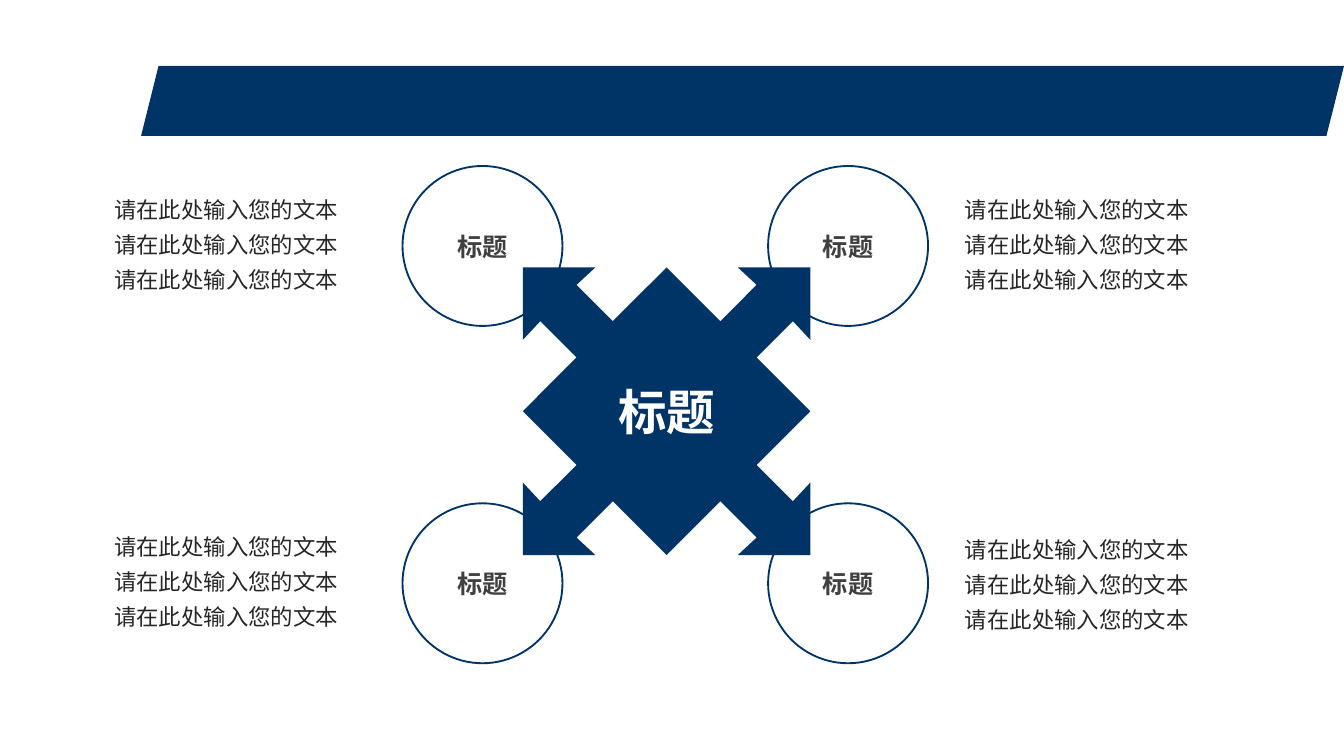
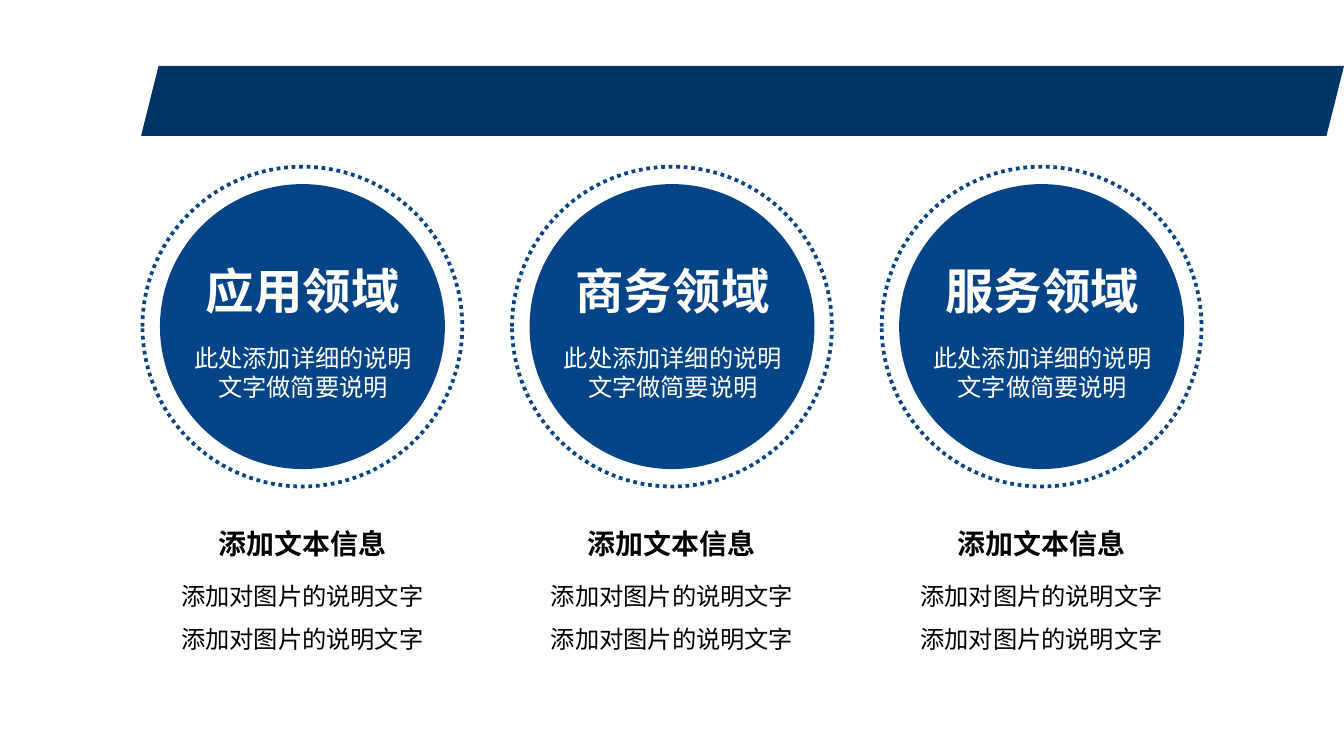
from lxml.etree import SubElement
from pptx import Presentation
from pptx.dml.color import RGBColor
from pptx.enum.dml import MSO_LINE
from pptx.enum.shapes import MSO_SHAPE
from pptx.enum.text import MSO_ANCHOR, MSO_AUTO_SIZE, PP_ALIGN
from pptx.oxml.ns import qn
from pptx.util import Inches, Pt

FONT = "Noto Sans CJK SC"
NAVY = RGBColor(0x00, 0x34, 0x66)
BLUE = RGBColor(0x05, 0x44, 0x87)
WHITE = RGBColor(0xFF, 0xFF, 0xFF)
BLACK = RGBColor(0x00, 0x00, 0x00)
GREY = RGBColor(0x40, 0x40, 0x40)
DARK = RGBColor(0x26, 0x26, 0x26)


def paint(shape, fill=None, line=None, width=1, dash=None):
    shape.shadow.inherit = False
    if fill is None:
        shape.fill.background()
    else:
        shape.fill.solid()
        shape.fill.fore_color.rgb = fill
    if line is None:
        shape.line.fill.background()
    else:
        shape.line.color.rgb = line
        shape.line.width = Pt(width)
        if dash is not None:
            shape.line.dash_style = dash


def add_para(frame, text, size, color, bold=False, align=PP_ALIGN.CENTER,
             spacing=None, before=None):
    """Fill the empty first paragraph, or append a new one."""
    para = frame.paragraphs[0]
    if para.runs:
        para = frame.add_paragraph()
    para.alignment = align
    if spacing:
        para.line_spacing = spacing
    if before:
        para.space_before = Pt(before)
    run = para.add_run()
    run.text = text
    run.font.size = Pt(size)
    run.font.bold = bold
    run.font.color.rgb = color
    run.font.name = FONT
    SubElement(run.font._element, qn("a:ea"), typeface=FONT)


def set_margins(frame, side, top):
    frame.margin_left = frame.margin_right = Inches(side)
    frame.margin_top = frame.margin_bottom = Inches(top)


def add_label(shape, text, size, color):
    """Centre a bold label inside a shape."""
    frame = shape.text_frame
    frame.word_wrap = True
    frame.vertical_anchor = MSO_ANCHOR.MIDDLE
    set_margins(frame, 0, 0)
    add_para(frame, text, size, color, bold=True)


def add_box(slide, left, top, width, height, inset=0.05, grow=True):
    box = slide.shapes.add_textbox(Inches(left), Inches(top),
                                   Inches(width), Inches(height))
    frame = box.text_frame
    frame.word_wrap = True
    frame.auto_size = (MSO_AUTO_SIZE.SHAPE_TO_FIT_TEXT if grow
                       else MSO_AUTO_SIZE.NONE)
    set_margins(frame, 0.11, inset)
    return frame


def add_disc(slide, x, y, size, **style):
    """Add a circle centred on x, y."""
    disc = slide.shapes.add_shape(
        MSO_SHAPE.OVAL, Inches(x - size / 2), Inches(y - size / 2),
        Inches(size), Inches(size))
    paint(disc, **style)
    return disc


def add_slide(deck):
    """Add a slide with the shared title band."""
    slide = deck.slides.add_slide(deck.slide_layouts[6])
    band = slide.shapes.add_shape(MSO_SHAPE.PARALLELOGRAM, Inches(1.05),
                                  Inches(0.49), Inches(8.95), Inches(0.52))
    paint(band, fill=NAVY)
    return slide


def add_cross(slide, x, y):
    """Add a diamond with four corner arrows, one side turned four times."""
    side = [(-1.07, -1.07), (-0.53, -1.07), (-0.67, -0.94), (-0.4, -0.67),
            (0, -1.07), (0.4, -0.67), (0.67, -0.94), (0.53, -1.07)]
    points = []
    for _ in range(4):
        points += side
        side = [(-dy, dx) for dx, dy in side]
    spots = [(Inches(x + dx), Inches(y + dy)) for dx, dy in points]
    path = slide.shapes.build_freeform(*spots[0])
    path.add_line_segments(spots[1:], close=True)
    cross = path.convert_to_shape()
    paint(cross, fill=NAVY)
    add_label(cross, "标题", 26, WHITE)


def add_lines(slide, left, top):
    frame = add_box(slide, left, top, 2.19, 0.9, inset=0.06)
    for _ in range(3):
        add_para(frame, "请在此处输入您的文本", 12, DARK,
                 align=PP_ALIGN.JUSTIFY, spacing=1.3)


def add_topic(slide, x, title):
    """Add one column: ringed disc, its text and the caption below."""
    add_disc(slide, x, 2.43, 2.12, fill=BLUE)
    add_disc(slide, x, 2.43, 2.38, line=BLUE, width=2,
             dash=MSO_LINE.ROUND_DOT)
    inner = add_box(slide, x - 0.92, 1.89, 1.85, 1.16)
    add_para(inner, title, 26, WHITE, bold=True)
    add_para(inner, "此处添加详细的说明文字做简要说明", 13, WHITE, before=12.9)
    below = add_box(slide, x - 1.07, 3.87, 2.14, 1.23, grow=False)
    add_para(below, "添加文本信息", 15, BLACK, bold=True)
    add_para(below, "添加对图片的说明文字添加对图片的说明文字", 13, BLACK,
             spacing=1.5, before=3.2)


def draw_arrows(deck):
    slide = add_slide(deck)
    for y in (1.83, 4.34):
        for x in (6.31, 3.59):
            disc = add_disc(slide, x, y, 1.19, fill=WHITE, line=NAVY)
            add_label(disc, "标题", 13.5, GREY)
    add_cross(slide, 4.96, 3.06)
    for left, top in ((7.07, 1.34), (7.07, 3.87), (0.74, 3.85), (0.74, 1.34)):
        add_lines(slide, left, top)


def draw_topics(deck):
    slide = add_slide(deck)
    for i, title in enumerate(("应用领域", "商务领域", "服务领域")):
        add_topic(slide, 5 + (i - 1) * 2.75, title)


def main():
    deck = Presentation()
    deck.slide_width = Inches(10)
    deck.slide_height = deck.slide_width * 9 // 16
    draw_arrows(deck)
    draw_topics(deck)
    deck.save("out.pptx")


if __name__ == "__main__":
    main()
